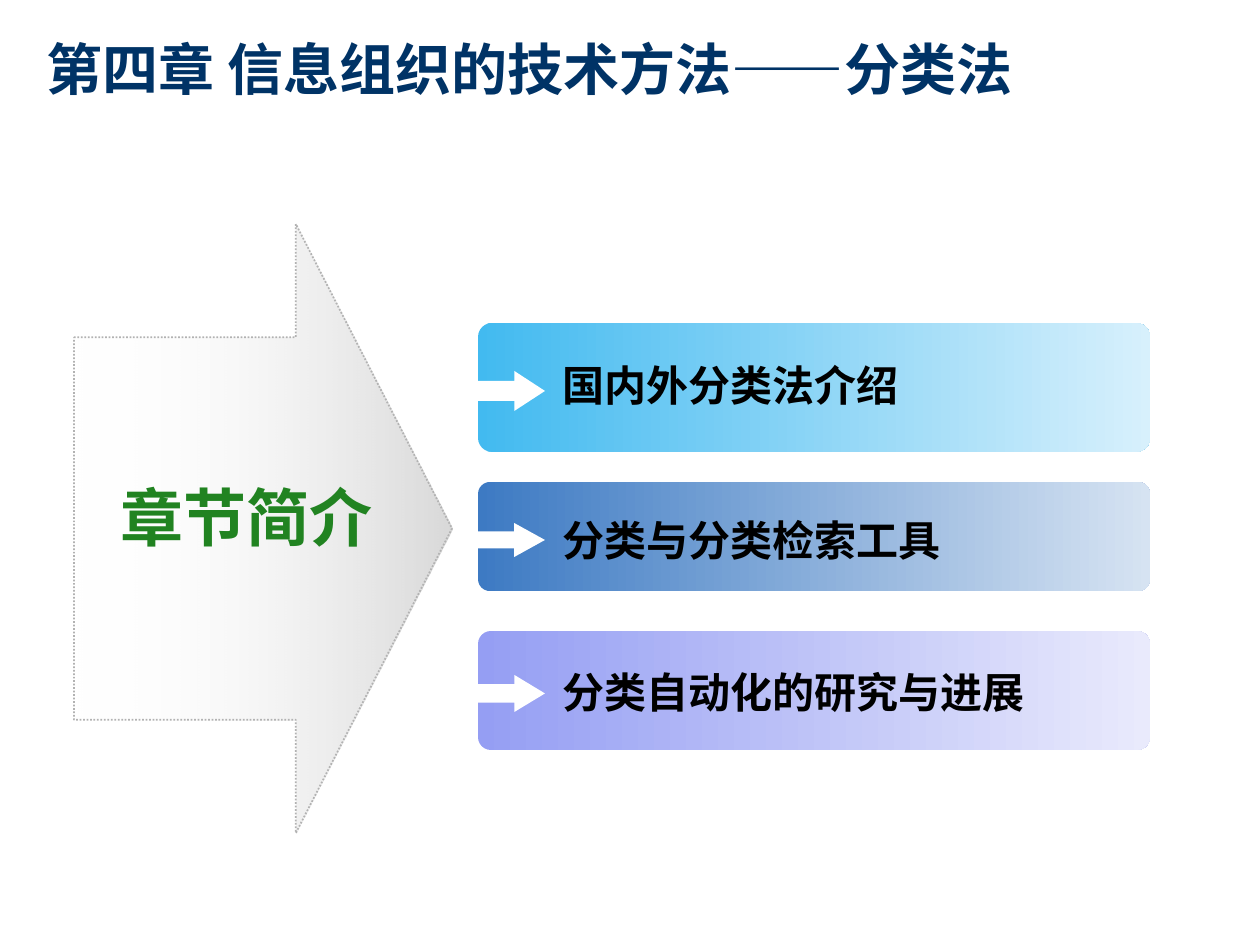
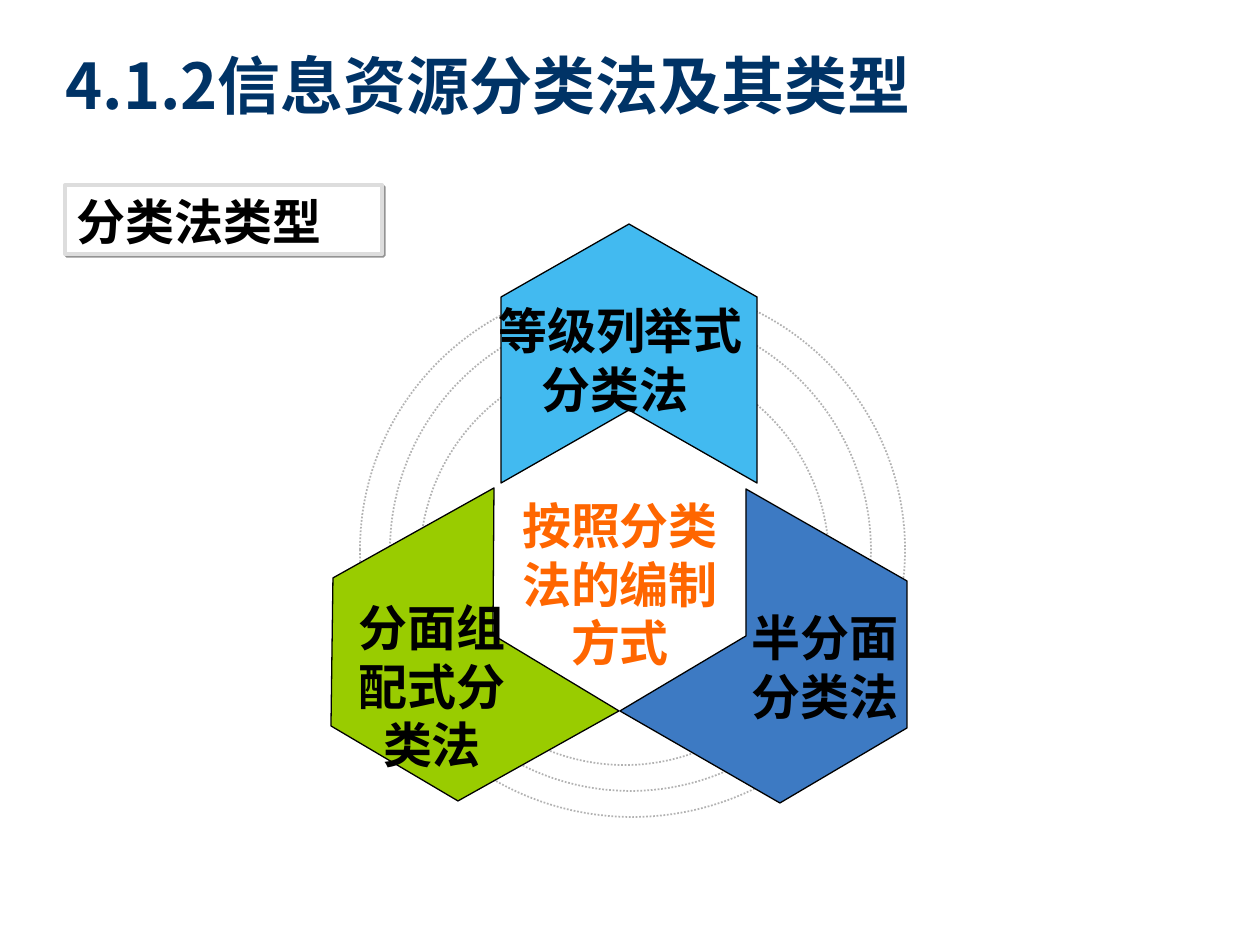
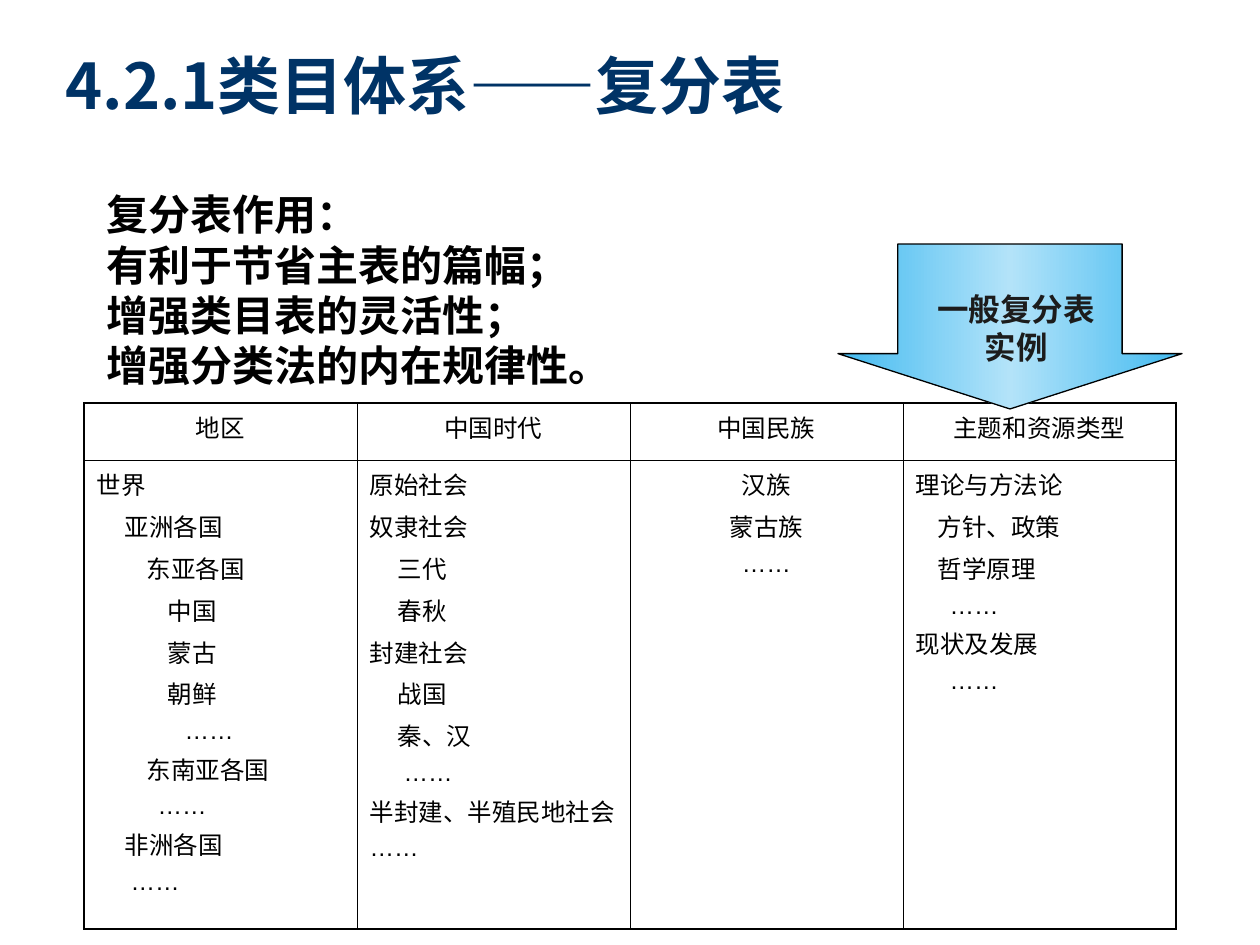
from dataclasses import dataclass
from lxml.etree import SubElement
from pptx import Presentation
from pptx.dml.color import RGBColor
from pptx.enum.dml import MSO_LINE
from pptx.enum.shapes import MSO_SHAPE
from pptx.enum.text import MSO_ANCHOR, PP_ALIGN
from pptx.oxml.ns import qn
from pptx.util import Emu, Pt

PX = 914400 / 126


@dataclass(frozen=True)
class Theme:
    """Colours, fonts and type sizes of the deck."""
    navy: str = "003366"
    black: str = "000000"
    ink: str = "1C1C1C"
    white: str = "FFFFFF"
    green: str = "218321"
    lime: str = "99CC00"
    orange: str = "FF6600"
    grey: str = "B2B2B2"
    frame: str = "DDDDDD"
    shade: str = "292929"
    sky: str = "42BAF0"
    pale: str = "D7F0FC"
    mist: str = "B3E3F9"
    blue: str = "3D7AC3"
    haze: str = "D6E3F2"
    lilac: str = "959EF3"
    foam: str = "E9EAFC"
    head: str = "Noto Sans CJK SC"
    body: str = "Arial"
    huge: int = 36
    large: int = 32
    big: int = 28
    mid: int = 24
    note: int = 18
    small: int = 14


T = Theme()


def px(num):
    """Turn pixels into EMU."""
    return Emu(round(num * PX))


def rgb(tint):
    """Turn a hex string into a colour."""
    return RGBColor.from_string(tint)


def write(frame, lines, size=T.mid, color=T.black, bold=True, font=T.body,
          east=T.body, align=PP_ALIGN.LEFT, gap=0):
    """Write lines, each a string, a (string, indent) pair or a list of (string, font) runs."""
    frame.word_wrap = True
    for num, line in enumerate(lines):
        para = frame.paragraphs[0] if num == 0 else frame.add_paragraph()
        text, dent = line if isinstance(line, tuple) else (line, 0)
        para.alignment = align
        if dent:
            para._p.get_or_add_pPr().set("marL", str(px(dent)))
        if gap and num:
            para.space_before = Pt(gap)
        for words, face in [(text, font)] if isinstance(text, str) else text:
            run = para.add_run()
            run.text = words
            run.font.size = Pt(size)
            run.font.bold = bold
            run.font.color.rgb = rgb(color)
            run.font.name = face
            props = run._r.get_or_add_rPr()
            props.set("lang", "zh-CN")
            SubElement(props, qn("a:ea"), typeface=T.body if words == "……" else east)


def label(slide, box, *lines, **form):
    """Add a text box."""
    area = slide.shapes.add_textbox(*map(px, box))
    write(area.text_frame, lines, **form)
    return area


def title(slide, left, top, text, size=T.huge):
    """Add the slide title, with its dash in the body font."""
    start, dash, rest = text.partition("——")
    runs = [(start, T.head), (dash, T.body), (rest, T.head)]
    area = label(slide, (left, top, 1176, 84), [run for run in runs if run[0]],
                 size=size, color=T.navy, east=T.head)
    area.text_frame.vertical_anchor = MSO_ANCHOR.MIDDLE


def blend(fill, stops):
    """Fill from left to right with (place, colour, opacity) stops."""
    fill.gradient()
    fill.gradient_angle = 0
    bar = fill._xPr.find(qn("a:gradFill")).find(qn("a:gsLst"))
    for old in list(bar):
        bar.remove(old)
    for place, tint, seen in stops:
        stop = SubElement(bar, qn("a:gs"), pos=str(place * 1000))
        hue = SubElement(stop, qn("a:srgbClr"), val=tint)
        if seen < 100:
            SubElement(hue, qn("a:alpha"), val=str(seen * 1000))


def style(item, fill=None, line=None, width=0.75, dots=False):
    """Set the fill and outline of a shape."""
    item.shadow.inherit = False
    if fill is None:
        item.fill.background()
    elif isinstance(fill, str):
        item.fill.solid()
        item.fill.fore_color.rgb = rgb(fill)
    else:
        blend(item.fill, fill)
    if line is None:
        item.line.fill.background()
        return
    item.line.color.rgb = rgb(line)
    item.line.width = Pt(width)
    if dots:
        item.line.dash_style = MSO_LINE.ROUND_DOT


def shape(slide, kind, box, adj=(), **look):
    """Add a preset shape."""
    item = slide.shapes.add_shape(kind, *map(px, box))
    for num, value in enumerate(adj):
        item.adjustments[num] = value
    style(item, **look)
    return item


def facet(slide, points, fill):
    """Add a closed outline through the points."""
    pen = slide.shapes.build_freeform(*points[0], scale=PX)
    pen.add_line_segments(points[1:], close=True)
    style(pen.convert_to_shape(), fill, T.black)


def cast(item):
    """Give a shape a small shadow to the lower right."""
    glow = item._element.spPr.find(qn("a:effectLst"))
    drop = SubElement(glow, qn("a:outerShdw"), dist="17780", dir="2700000",
                      algn="ctr", rotWithShape="0")
    hue = SubElement(drop, qn("a:srgbClr"), val=T.shade)
    SubElement(hue, qn("a:alpha"), val="50000")


def edge(cell, sides):
    """Draw the borders of a cell from a side to width map."""
    props = cell._tc.get_or_add_tcPr()
    for num, side in enumerate("LRTB"):
        rule = SubElement(props, qn("a:ln" + side), w=str(Pt(sides[side])))
        fill = SubElement(rule, qn("a:solidFill"))
        SubElement(fill, qn("a:srgbClr"), val=T.black)
        props.insert(num, rule)


def grid(slide, left, top, wide, tall, rows):
    """Add a table with a heavier outer frame."""
    cols = len(rows[0])
    table = slide.shapes.add_table(len(rows), cols, px(left), px(top),
                                   px(wide * cols), px(sum(tall))).table
    table.first_row = table.horz_banding = False
    for col in table.columns:
        col.width = px(wide)
    for row, cells in enumerate(rows):
        table.rows[row].height = px(tall[row])
        for col, (lines, align) in enumerate(cells):
            cell = table.cell(row, col)
            cell.fill.background()
            ends = {"L": col == 0, "R": col == cols - 1,
                    "T": row == 0, "B": row == len(rows) - 1}
            edge(cell, {side: 1.08 if outer else 0.45 for side, outer in ends.items()})
            write(cell.text_frame, lines, size=T.small, bold=False, east=T.head,
                  align=align, gap=3.5)


def intro(slide):
    """Build the chapter overview."""
    title(slide, 34, 26, "第四章 信息组织的技术方法——分类法", T.large)
    shape(slide, MSO_SHAPE.RIGHT_ARROW, (74, 224, 378, 609), (0.628, 0.413),
          fill=[(0, T.white, 0), (100, T.grey, 50)], line=T.grey, width=1, dots=True)
    label(slide, (94, 472, 305, 88), ("章节简介", 14), size=T.huge, color=T.green)
    bars = [
        ("国内外分类法介绍", 323, 129, 353, (371, 40, 0.766), T.sky, T.pale),
        ("分类与分类检索工具", 482, 109, 508, (523, 34, 0.905), T.blue, T.haze),
        ("分类自动化的研究与进展", 631, 119, 660, (675, 37, 0.827), T.lilac, T.foam),
    ]
    for text, top, tall, base, (tip, high, head), dark, light in bars:
        shape(slide, MSO_SHAPE.ROUNDED_RECTANGLE, (478, top, 672, tall), (0.109,),
              fill=[(0, dark, 100), (100, light, 100)])
        shape(slide, MSO_SHAPE.RIGHT_ARROW, (472, tip, 73, high), (0.5, head), fill=T.white)
        label(slide, (550, base, 556, 63), text)


def kinds(slide):
    """Build the ring of classification types."""
    title(slide, 53, 42, "4.1.2信息资源分类法及其类型")
    for ring in [(360, 282, 545, 535), (390, 310, 481, 481), (420, 356, 409, 409)]:
        shape(slide, MSO_SHAPE.OVAL, ring, line=T.grey, width=1, dots=True)
    facet(slide, [(619, 711), (458, 801), (331, 726), (333, 578), (494, 488), (493, 635)], T.lime)
    facet(slide, [(501, 483), (501, 297), (629, 224), (757, 297), (757, 483), (629, 410)], T.sky)
    facet(slide, [(746, 489), (907, 581), (907, 728), (780, 803), (620, 711), (746, 636)], T.blue)
    form = {"size": T.big, "align": PP_ALIGN.CENTER}
    label(slide, (492, 489, 256, 189), "按照分类法的编制方式", color=T.orange, **form)
    label(slide, (461, 294, 308, 131), ("等级列举式", 11), "分类法", **form)
    label(slide, (333, 591, 198, 189), "分面组配式分类法", **form)
    label(slide, (730, 601, 190, 131), "半分面", "分类法", **form)
    cast(shape(slide, MSO_SHAPE.ROUNDED_RECTANGLE, (65, 185, 317, 69), (0,),
               fill=T.white, line=T.frame, width=2.25))
    label(slide, (64, 185, 307, 72), "分类法类型", size=T.big)


def tables(slide):
    """Build the auxiliary table example."""
    title(slide, 53, 42, "4.2.1类目体系——复分表")
    left, mid = PP_ALIGN.LEFT, PP_ALIGN.CENTER
    heads = ["地区", "中国时代", "中国民族", "主题和资源类型"]
    area = ["世界", ("亚洲各国", 28), ("东亚各国", 50), ("中国", 71), ("蒙古", 71),
            ("朝鲜", 71), ("……", 88), ("东南亚各国", 50), ("……", 61),
            ("非洲各国", 28), ("……", 34)]
    eras = ["原始社会", "奴隶社会", ("三代", 28), ("春秋", 28), "封建社会", ("战国", 28),
            ("秦、汉", 28), ("……", 34), "半封建、半殖民地社会", "……"]
    folk = ["汉族", "蒙古族", "……"]
    forms = ["理论与方法论", ("方针、政策", 22), ("哲学原理", 22), ("……", 34),
             "现状及发展", ("……", 34)]
    grid(slide, 84, 403, 273, (57, 469),
         [[([head], mid) for head in heads],
          [(area, left), (eras, left), (folk, mid), (forms, left)]])
    shape(slide, MSO_SHAPE.DOWN_ARROW, (838, 244, 344, 165), (0.652, 0.335),
          fill=[(0, T.sky, 100), (50, T.mist, 100), (100, T.sky, 100)], line=T.black)
    label(slide, (898, 284, 236, 88), "一般复分表", "实例",
          size=T.note, color=T.ink, align=mid)
    uses = shape(slide, MSO_SHAPE.RECTANGLE, (94, 205, 586, 169), fill=T.white, line=T.white)
    uses.text_frame.vertical_anchor = MSO_ANCHOR.MIDDLE
    write(uses.text_frame, ["复分表作用：", "有利于节省主表的篇幅；",
                            "增强类目表的灵活性；", "增强分类法的内在规律性。"])


def main():
    """Build and save the deck."""
    deck = Presentation()
    deck.slide_width, deck.slide_height = px(1260), px(945)
    for build in (intro, kinds, tables):
        build(deck.slides.add_slide(deck.slide_layouts[6]))
    deck.save("out.pptx")


if __name__ == "__main__":
    main()
